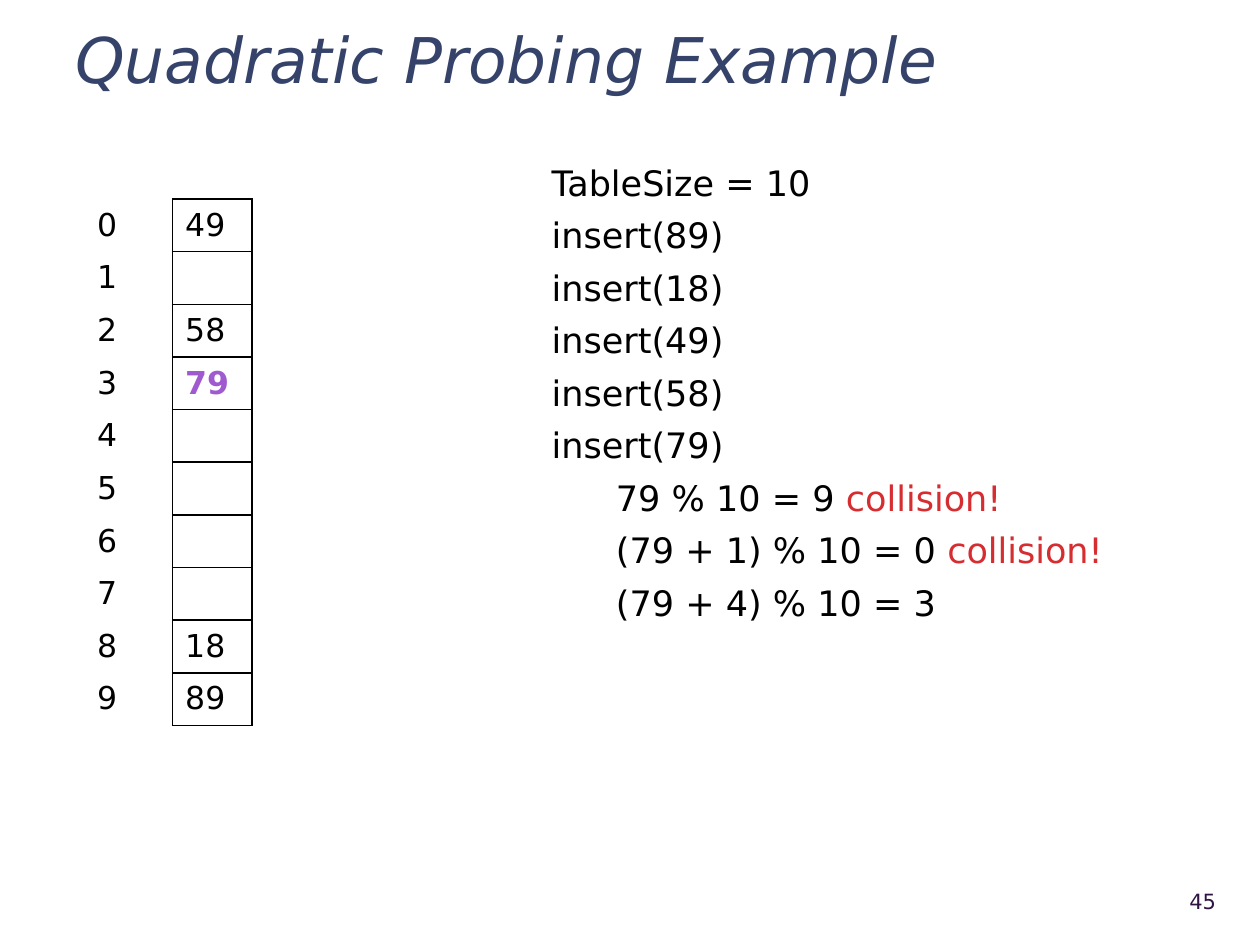
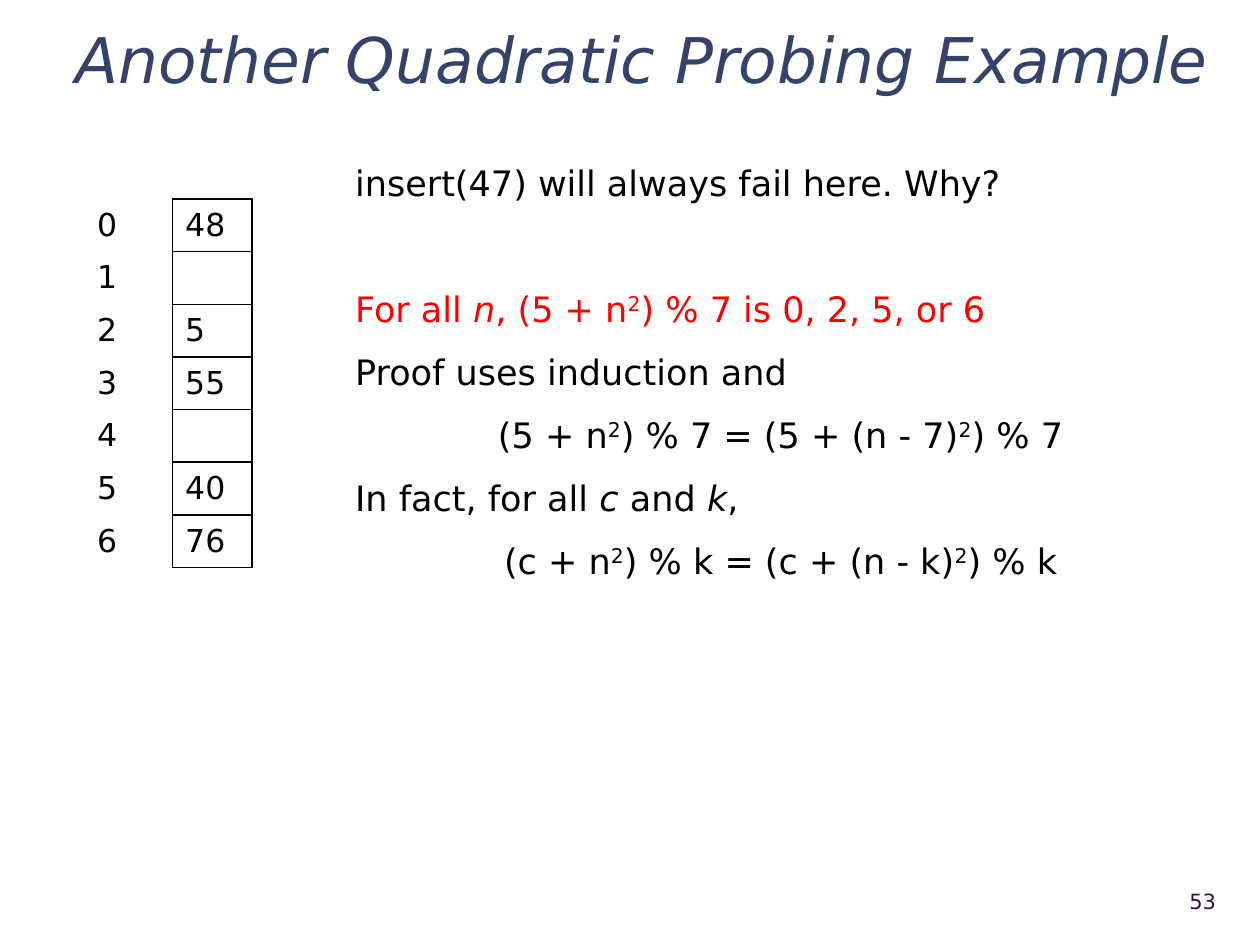
from dataclasses import dataclass
from typing import Optional

from lxml import etree
from pptx import Presentation
from pptx.dml.color import RGBColor
from pptx.enum import text as tx
from pptx.oxml.ns import qn
from pptx.util import Pt


# Theme
@dataclass(frozen=True)
class Theme:
    face: str = "DejaVu Sans"
    ink: str = "000000"
    title: str = "35436A"
    page: str = "2F1343"
    clash: str = "D62D31"
    claim: str = "FF0000"
    fresh: str = "9F5AD0"
    head: int = 36
    body: int = 20
    cell: int = 18
    foot: int = 12


THEME = Theme()
LEFT, MID, RIGHT = tx.PP_ALIGN.LEFT, tx.PP_ALIGN.CENTER, tx.PP_ALIGN.RIGHT


# Repeated elements
@dataclass(frozen=True)
class Bit:
    text: str
    color: Optional[str] = None
    slant: bool = False
    power: bool = False


@dataclass(frozen=True)
class Line:
    bits: tuple[Bit, ...]
    color: str = THEME.ink
    indent: float = 0
    align: tx.PP_ALIGN = LEFT
    gap: Optional[float] = None


@dataclass(frozen=True)
class Box:
    left: float
    top: float
    width: float
    height: float


@dataclass(frozen=True)
class Page:
    title: str
    number: int
    slots: tuple[Optional[int], ...]
    body: Box
    gap: float
    lines: tuple[Line, ...]
    fresh: Optional[int] = None


TITLE = Box(36, 12.24, 666, 38.16)
FOOT = Box(640, 500.4, 62, 28.8)
GRID_X, GRID_Y, ROW = 48.24, 113.76, 30.09
COLS = (50.4, 45.4)
EDGES = ("lnL", "lnR", "lnT", "lnB")


def style(font, size: int, color: str) -> None:
    font.name = THEME.face
    font.size = Pt(size)
    font.color.rgb = RGBColor.from_string(color)


def add_box(slide, box: Box, anchor=tx.MSO_ANCHOR.MIDDLE):
    sides = (box.left, box.top, box.width, box.height)
    frame = slide.shapes.add_textbox(*map(Pt, sides)).text_frame
    frame.word_wrap = True
    frame.vertical_anchor = anchor
    return frame


def add_label(slide, box: Box, label: str, size: int, color: str):
    para = add_box(slide, box).paragraphs[0]
    para.text = label
    style(para.font, size, color)
    return para


def add_bit(para, bit: Bit) -> None:
    run = para.add_run()
    run.text = bit.text
    if bit.color:
        run.font.color.rgb = RGBColor.from_string(bit.color)
    if bit.slant:
        run.font.italic = True
    if bit.power:
        run.font._element.set("baseline", "30000")


def add_body(slide, page: Page) -> None:
    frame = add_box(slide, page.body, tx.MSO_ANCHOR.TOP)
    frame.auto_size = tx.MSO_AUTO_SIZE.SHAPE_TO_FIT_TEXT
    for i, line in enumerate(page.lines):
        para = frame.add_paragraph() if i else frame.paragraphs[0]
        para.alignment = line.align
        para.space_before = Pt(line.gap or page.gap)
        style(para.font, THEME.body, line.color)
        if line.indent:
            para._p.get_or_add_pPr().set("marL", str(Pt(line.indent)))
        for bit in line.bits:
            add_bit(para, bit)


def add_edges(cell, edges: tuple[str, ...]) -> None:
    props = cell._tc.get_or_add_tcPr()
    for i, edge in enumerate(edges):
        line = etree.Element(qn(f"a:{edge}"), w=str(Pt(1)))
        fill = etree.SubElement(line, qn("a:solidFill"))
        etree.SubElement(fill, qn("a:srgbClr"), val=THEME.ink)
        props.insert(i, line)


def add_cell(cell, label: str, edges: tuple[str, ...], fresh: bool = False) -> None:
    cell.fill.background()
    cell.vertical_anchor = tx.MSO_ANCHOR.MIDDLE
    para = cell.text_frame.paragraphs[0]
    para.text = label
    style(para.font, THEME.cell, THEME.fresh if fresh else THEME.ink)
    para.font.bold = fresh
    add_edges(cell, edges)


def add_slots(slide, page: Page) -> None:
    count = len(page.slots)
    sides = (GRID_X, GRID_Y, sum(COLS), count * ROW)
    grid = slide.shapes.add_table(count, len(COLS), *map(Pt, sides)).table
    grid.first_row = grid.horz_banding = False
    for col, width in zip(grid.columns, COLS):
        col.width = Pt(width)
    for i, key in enumerate(page.slots):
        grid.rows[i].height = Pt(ROW)
        add_cell(grid.cell(i, 0), str(i), ("lnR",))
        label = "" if key is None else str(key)
        add_cell(grid.cell(i, 1), label, EDGES, i == page.fresh)


def add_page(deck, page: Page) -> None:
    slide = deck.slides.add_slide(deck.slide_layouts[6])
    head = add_label(slide, TITLE, page.title, THEME.head, THEME.title)
    head.font.italic = True
    head.line_spacing = 1.1
    add_body(slide, page)
    foot = add_label(slide, FOOT, str(page.number), THEME.foot, THEME.page)
    foot.alignment = RIGHT
    add_slots(slide, page)


# Content
def plain(text: str) -> Line:
    return Line((Bit(text),))


def probe(text: str, clash: bool = True) -> Line:
    tail = (Bit("collision!", THEME.clash),) if clash else ()
    return Line((Bit(text), *tail), indent=36.72)


def square(start: str, mod: str) -> Line:
    two = Bit("2", power=True)
    return Line((Bit(f"({start} + n"), two,
                 Bit(f") % {mod} = ({start} + (n - {mod})"), two,
                 Bit(f") % {mod}")), align=MID)


PAGES = (
    Page("Quadratic Probing Example", 45,
         (49, None, 58, 79, None, None, None, None, 18, 89),
         Box(308.16, 88.56, 347, 273.6), 6,
         (plain("TableSize = 10"),
          *(plain(f"insert({key})") for key in (89, 18, 49, 58, 79)),
          probe("79 % 10 = 9 "),
          probe("(79 + 1) % 10 = 0 "),
          probe("(79 + 4) % 10 = 3", clash=False)),
         fresh=3),
    Page("Another Quadratic Probing Example", 53,
         (48, None, 5, 55, None, 40, 76),
         Box(195.84, 88.56, 500.4, 401), 12,
         (plain("insert(47) will always fail here. Why?"),
          Line((Bit("For all "), Bit("n", slant=True), Bit(", (5 + n"),
                Bit("2", power=True), Bit(") % 7 is 0, 2, 5, or 6")),
               THEME.claim, gap=48),
          plain("Proof uses induction and"),
          square("5", "7"),
          Line((Bit("In fact, for all "), Bit("c", slant=True), Bit(" and "),
                Bit("k", slant=True), Bit(","))),
          square("c", "k"))),
)


def main() -> None:
    deck = Presentation()
    deck.slide_width, deck.slide_height = Pt(720), Pt(540)
    for page in PAGES:
        add_page(deck, page)
    deck.save("out.pptx")


if __name__ == "__main__":
    main()
